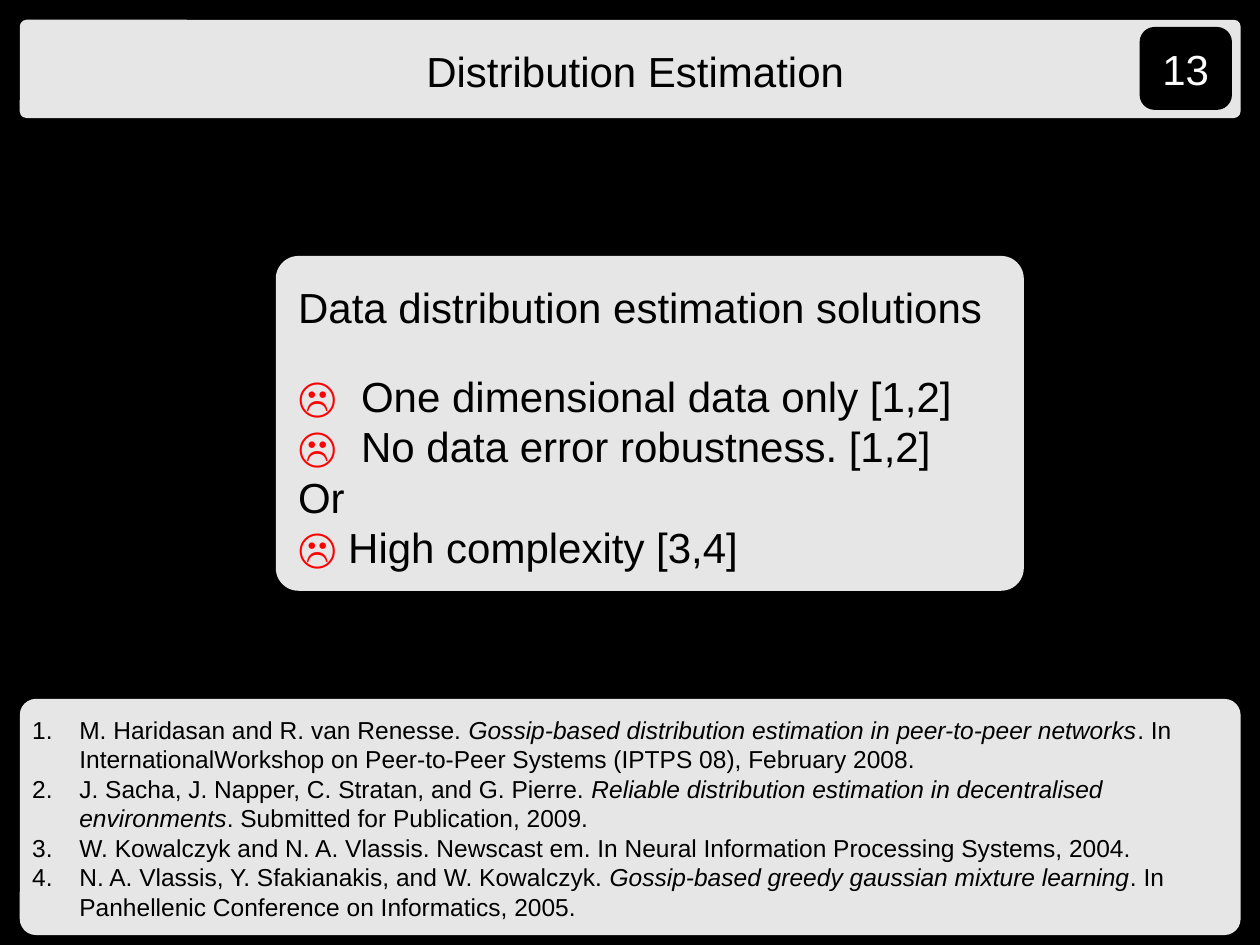
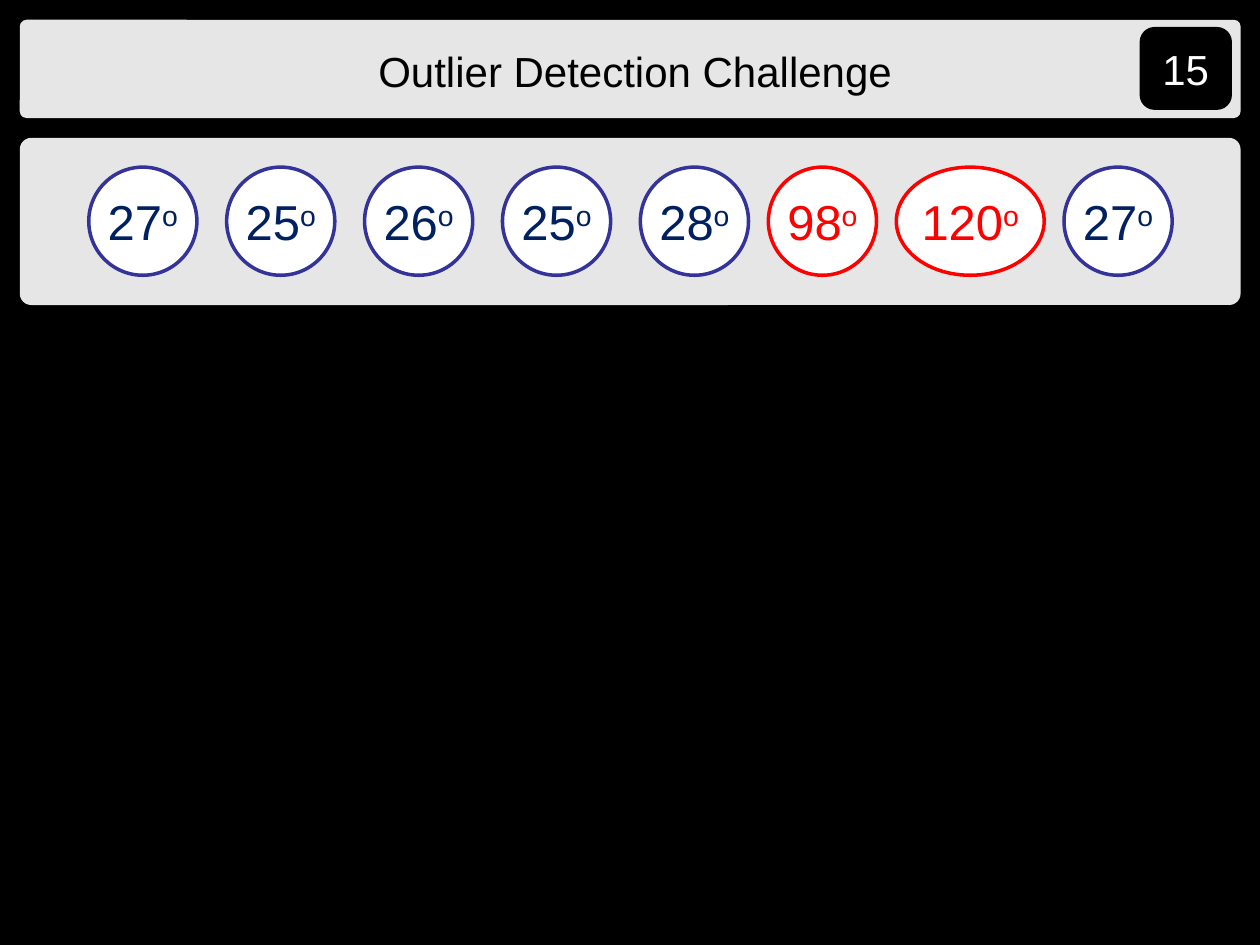
from lxml import etree
from pptx import Presentation
from pptx import util as u
from pptx.dml.color import RGBColor
from pptx.enum import shapes, text
from pptx.oxml.ns import qn

COLORS = {"back": "000000", "panel": "FFFFFF", "ink": "000000", "light": "FFFFFF",
          "alert": "FF0000", "ring": "333399", "reading": "002060"}
FONT = "Arial"
MARGIN, PANEL_W = 0.4, 24.61
TITLE_BOX = (MARGIN, 0.4, PANEL_W, 1.98)
SOLUTIONS_BOX = (5.56, 5.16, 15.08, 6.75)
REFERENCES_BOX = (MARGIN, 14.09, PANEL_W, 4.76)
READINGS_BOX = (MARGIN, 2.78, PANEL_W, 3.37)

REFERENCES = [
    ("M. Haridasan and R. van Renesse. ",
     "Gossip-based distribution estimation in peer-to-peer networks",
     ". In InternationalWorkshop on Peer-to-Peer Systems (IPTPS 08), February 2008."),
    ("J. Sacha, J. Napper, C. Stratan, and G. Pierre. ",
     "Reliable distribution estimation in decentralised environments",
     ". Submitted for Publication, 2009."),
    ("W. Kowalczyk and N. A. Vlassis. Newscast em. "
     "In Neural Information Processing Systems, 2004.",),
    ("N. A. Vlassis, Y. Sfakianakis, and W. Kowalczyk. ",
     "Gossip-based greedy gaussian mixture learning",
     ". In Panhellenic Conference on Informatics, 2005."),
]
DRAWBACKS = [("☹ \t", "One dimensional data only [1,2]"),
             ("☹ \t", "No data error robustness. [1,2]"),
             ("", "Or"),
             ("☹", " High complexity [3,4]")]
READINGS = [27, 25, 26, 25, 28, 98, 120, 27]
OUTLIER_FROM = 90


def rgb(name):
    return RGBColor.from_string(COLORS[name])


def add_run(p, words, size=24, color="ink", bold=False, italic=False, raised=False):
    r = p.add_run()
    r.text = words
    r.font.name = FONT
    r.font.size = u.Pt(size)
    r.font.bold = bold
    r.font.italic = italic
    r.font.color.rgb = rgb(color)
    if raised:
        r._r.get_or_add_rPr().set("baseline", "30000")
    return r


def add_shape(s, kind, box, fill, line=None, opacity=None, corner=None):
    sp = s.shapes.add_shape(kind, *map(u.Cm, box))
    sp.shadow.inherit = False
    sp.fill.solid()
    sp.fill.fore_color.rgb = rgb(fill)
    if opacity:
        color = sp.fill._xPr.find(qn("a:solidFill"))[0]
        etree.SubElement(color, qn("a:alpha")).set("val", str(opacity * 1000))
    if line:
        sp.line.color.rgb = rgb(line)
        sp.line.width = u.Pt(2)
    else:
        sp.line.fill.background()
    if corner:
        sp.adjustments[0] = corner
    return sp


def add_panel(s, box):
    return add_shape(s, shapes.MSO_SHAPE.ROUNDED_RECTANGLE, box, "panel",
                     opacity=90, corner=0.068)


def add_text_box(s, box):
    tf = s.shapes.add_textbox(*map(u.Cm, box)).text_frame
    tf.word_wrap = True
    return tf


def add_paragraph(tf, first, hang=0, numbered=False):
    p = tf.paragraphs[0] if first else tf.add_paragraph()
    pPr = p._p.get_or_add_pPr()
    pPr.set("marL", str(u.Cm(hang)))
    pPr.set("indent", str(-u.Cm(hang)))
    if numbered:
        etree.SubElement(pPr, qn("a:buFont")).set("typeface", FONT)
        etree.SubElement(pPr, qn("a:buAutoNum")).set("type", "arabicPeriod")
    return p


def center_text(sp, inset=0.0):
    tf = sp.text_frame
    tf.word_wrap = True
    tf.vertical_anchor = text.MSO_ANCHOR.MIDDLE
    tf.margin_left = tf.margin_right = tf.margin_top = tf.margin_bottom = u.Cm(inset)
    p = tf.paragraphs[0]
    p.alignment = text.PP_ALIGN.CENTER
    return p


def add_title(s, box, title):
    x, y, w, h = box
    add_panel(s, box)
    p = add_text_box(s, (x + 0.2, y + 0.39, w - 0.2, 1.27)).paragraphs[0]
    p.alignment = text.PP_ALIGN.CENTER
    add_run(p, title)


def add_page_number(s, box, number):
    x, y, w, h = box
    badge = add_shape(s, shapes.MSO_SHAPE.ROUNDED_RECTANGLE,
                      (x + w - 2.0, y + 0.18, 1.79, 1.6), "back", line="back")
    add_run(center_text(badge, 0.1), str(number), color="light")


def add_solutions(s, box):
    x, y, w, h = box
    add_panel(s, box)
    heading = add_text_box(s, (x + 0.2, y + 0.4, w - 0.2, 1.27))
    add_run(heading.paragraphs[0], "Data distribution estimation solutions")
    tf = add_text_box(s, (x + 0.2, y + 2.18, w - 1.0, 4.32))
    for i, (mark, drawback) in enumerate(DRAWBACKS):
        p = add_paragraph(tf, i == 0, hang=1.27)
        if mark:
            add_run(p, mark, color="alert", bold=True)
        add_run(p, drawback)


def add_references(s, box):
    x, y, w, h = box
    add_panel(s, box)
    tf = add_text_box(s, (x, y + 0.2, w, h - 0.35))
    for i, parts in enumerate(REFERENCES):
        p = add_paragraph(tf, i == 0, hang=0.95, numbered=True)
        for j, part in enumerate(parts):
            add_run(p, part, size=14, italic=j == 1)


def add_readings(s, box):
    x, y, w, h = box
    add_panel(s, box)
    size, left = 2.18, x + 1.39
    for i, degrees in enumerate(READINGS):
        outlier = degrees > OUTLIER_FROM
        width = 2.98 if degrees >= 100 else size
        if i:
            near_outlier = outlier or READINGS[i - 1] > OUTLIER_FROM
            left += 0.4 if near_outlier else 0.6
        sp = add_shape(s, shapes.MSO_SHAPE.OVAL, (left, y + 0.59, width, size),
                       "light", line="alert" if outlier else "ring")
        p = center_text(sp)
        color = "alert" if outlier else "reading"
        add_run(p, str(degrees), size=28, color=color)
        add_run(p, "o", size=28, color=color, raised=True)
        left += width


def add_slide(prs, title, number, *regions):
    s = prs.slides.add_slide(prs.slide_layouts[6])
    s.background.fill.solid()
    s.background.fill.fore_color.rgb = rgb("back")
    add_title(s, TITLE_BOX, title)
    for add_region, box in regions:
        add_region(s, box)
    add_page_number(s, TITLE_BOX, number)


def main():
    prs = Presentation()
    prs.slide_width, prs.slide_height = u.Cm(25.4), u.Cm(19.05)
    add_slide(prs, "Distribution Estimation", 13,
              (add_solutions, SOLUTIONS_BOX), (add_references, REFERENCES_BOX))
    add_slide(prs, "Outlier Detection Challenge", 15, (add_readings, READINGS_BOX))
    prs.save("out.pptx")


if __name__ == "__main__":
    main()
